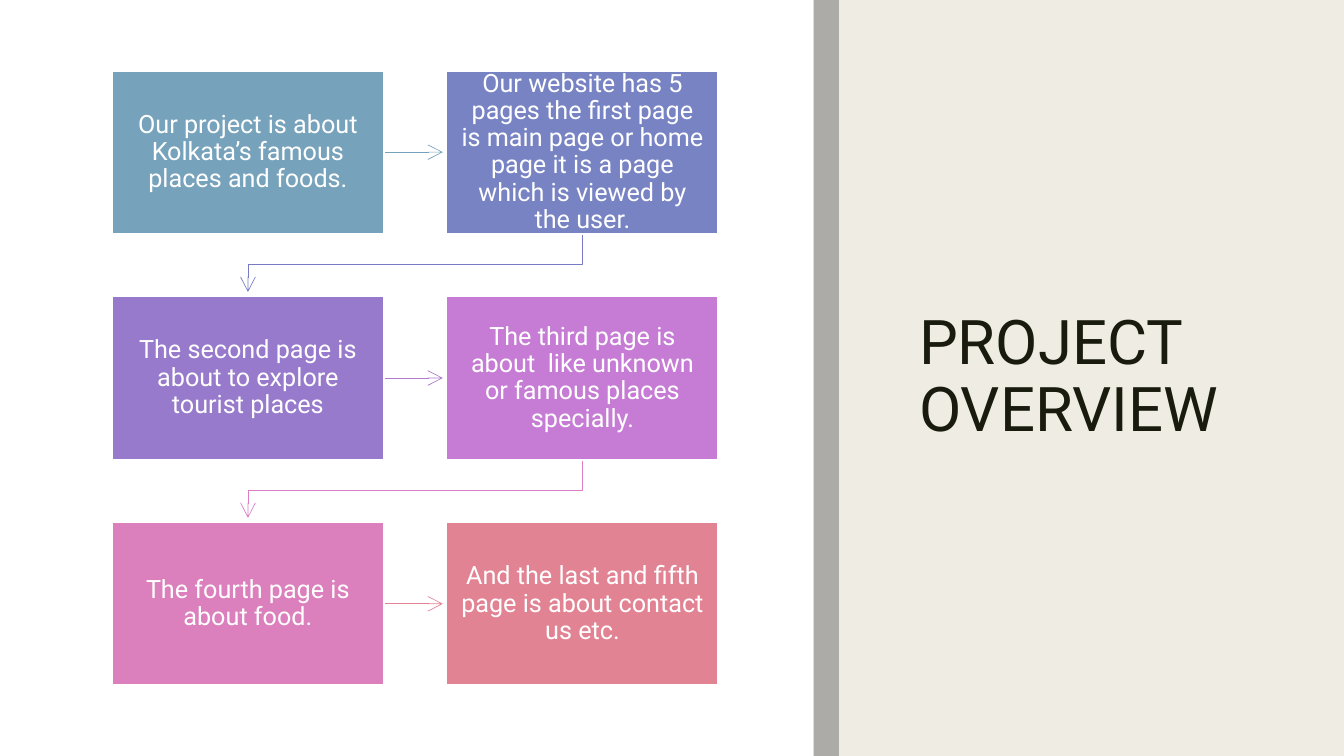
from dataclasses import dataclass

import pptx
import pptx.dml.color
import pptx.enum.shapes
import pptx.enum.text
import pptx.oxml
import pptx.oxml.ns
import pptx.shapes.autoshape
import pptx.slide
import pptx.util

Pt = pptx.util.Pt
RGBColor = pptx.dml.color.RGBColor


@dataclass(frozen=True)
class Theme:
    font: str = "Roboto"
    title_size: float = 44
    step_size: float = 18
    dark: str = "191B0E"
    white: str = "FFFFFF"
    beige: str = "EFEDE3"
    gray: str = "808080"


@dataclass(frozen=True)
class Box:
    left: float
    top: float
    width: float
    height: float


@dataclass(frozen=True)
class Step:
    text: str
    fill: str
    arrow: str = ""  # colour of the arrow to the next step


THEME = Theme()
SLIDE_WIDTH, SLIDE_HEIGHT = 960, 540
COLUMNS = 2
FIRST_BOX = Box(79.9, 50.4, 194.4, 116.6)
COLUMN_PITCH, ROW_PITCH = 239, 161.3
ARROW_LENGTH, ELBOW_DROP, ELBOW_HEIGHT = 42, 22.2, 41.6

STEPS = [
    Step("Our project is about Kolkata’s famous places and foods.", "77A2BB", "77A2BB"),
    Step("Our website has 5 pages the first page is main page or home page "
         "it is a page which is viewed by the user.", "7883C4", "797AC6"),
    Step("The second page is about to explore tourist places", "977ACC", "AE7BD0"),
    Step("The third page is about  like unknown or famous places specially.",
         "C67CD4", "DA7FC7"),
    Step("The fourth page is about food.", "DB7FBD", "E28394"),
    Step("And the last and fifth page is about contact us etc.", "E28394"),
]


def add_rectangle(slide: pptx.slide.Slide, box: Box,
                  color: str) -> pptx.shapes.autoshape.Shape:
    shape = slide.shapes.add_shape(
        pptx.enum.shapes.MSO_SHAPE.RECTANGLE,
        Pt(box.left), Pt(box.top), Pt(box.width), Pt(box.height))
    shape.shadow.inherit = False
    shape.fill.solid()
    shape.fill.fore_color.rgb = RGBColor.from_string(color)
    shape.line.fill.background()
    return shape


def set_text(shape: pptx.shapes.autoshape.Shape, text: str, size: float, color: str,
             alignment: pptx.enum.text.PP_ALIGN) -> None:
    frame = shape.text_frame
    frame.text = text
    frame.word_wrap = True
    frame.vertical_anchor = pptx.enum.text.MSO_ANCHOR.MIDDLE
    paragraph = frame.paragraphs[0]
    paragraph.alignment = alignment
    paragraph.line_spacing = 0.9
    font = paragraph.runs[0].font
    font.name = THEME.font
    font.size = Pt(size)
    font.color.rgb = RGBColor.from_string(color)


def style_arrow(shape, color: str) -> None:
    shape.line.color.rgb = RGBColor.from_string(color)
    shape.line.width = Pt(0.5)
    line = shape.line._get_or_add_ln()
    line.append(pptx.oxml.parse_xml(
        f'<a:tailEnd {pptx.oxml.ns.nsdecls("a")} type="arrow" w="lg" len="lg"/>'))


def add_straight_arrow(slide: pptx.slide.Slide, box: Box, color: str) -> None:
    start, middle = box.left + box.width, box.top + box.height / 2
    connector = slide.shapes.add_connector(
        pptx.enum.shapes.MSO_CONNECTOR.STRAIGHT,
        Pt(start), Pt(middle), Pt(start + ARROW_LENGTH), Pt(middle))
    style_arrow(connector, color)
    connector._element.spPr.append(pptx.oxml.parse_xml(
        f'<a:effectLst {pptx.oxml.ns.nsdecls("a")}/>'))


def add_elbow_arrow(slide: pptx.slide.Slide, box: Box, color: str) -> None:
    start, bottom = box.left + box.width / 2, box.top + box.height
    end = FIRST_BOX.left + FIRST_BOX.width / 2
    turn = bottom + ELBOW_DROP
    builder = slide.shapes.build_freeform(Pt(start), Pt(bottom))
    corners = [(start, turn), (end, turn), (end, bottom + ELBOW_HEIGHT)]
    builder.add_line_segments([(Pt(x), Pt(y)) for x, y in corners], close=False)
    elbow = builder.convert_to_shape()
    elbow.shadow.inherit = False
    elbow.fill.background()
    style_arrow(elbow, color)


def add_step(slide: pptx.slide.Slide, index: int, step: Step) -> None:
    row, column = divmod(index, COLUMNS)
    box = Box(FIRST_BOX.left + column * COLUMN_PITCH, FIRST_BOX.top + row * ROW_PITCH,
              FIRST_BOX.width, FIRST_BOX.height)
    # The arrow lies under the white edge of its box
    if step.arrow:
        add_arrow = add_elbow_arrow if column == COLUMNS - 1 else add_straight_arrow
        add_arrow(slide, box, step.arrow)
    shape = add_rectangle(slide, box, step.fill)
    shape.line.color.rgb = RGBColor.from_string(THEME.white)
    shape.line.width = Pt(1.5)
    set_text(shape, step.text, THEME.step_size, THEME.white,
             pptx.enum.text.PP_ALIGN.CENTER)
    frame = shape.text_frame
    frame.margin_left = frame.margin_right = Pt(9.5)
    frame.margin_top = frame.margin_bottom = Pt(10)


def main() -> None:
    presentation = pptx.Presentation()
    presentation.slide_width = Pt(SLIDE_WIDTH)
    presentation.slide_height = Pt(SLIDE_HEIGHT)
    slide = presentation.slides.add_slide(presentation.slide_layouts[6])

    # Background panels and the translucent divider
    add_rectangle(slide, Box(0, 0, SLIDE_WIDTH, SLIDE_HEIGHT), THEME.beige)
    add_rectangle(slide, Box(0, 0, 581.2, SLIDE_HEIGHT), THEME.white)
    divider = add_rectangle(slide, Box(581.2, 0, 18, SLIDE_HEIGHT), THEME.gray)
    color = divider._element.spPr.find(".//" + pptx.oxml.ns.qn("a:srgbClr"))
    color.append(pptx.oxml.parse_xml(
        f'<a:alpha {pptx.oxml.ns.nsdecls("a")} val="60000"/>'))

    # Title
    title = slide.shapes.add_textbox(Pt(649.5), Pt(50.4), Pt(260), Pt(439.2))
    set_text(title, "PROJECT OVERVIEW", THEME.title_size, THEME.dark,
             pptx.enum.text.PP_ALIGN.LEFT)

    # Flow of steps
    for index, step in enumerate(STEPS):
        add_step(slide, index, step)

    presentation.save("out.pptx")


if __name__ == "__main__":
    main()
